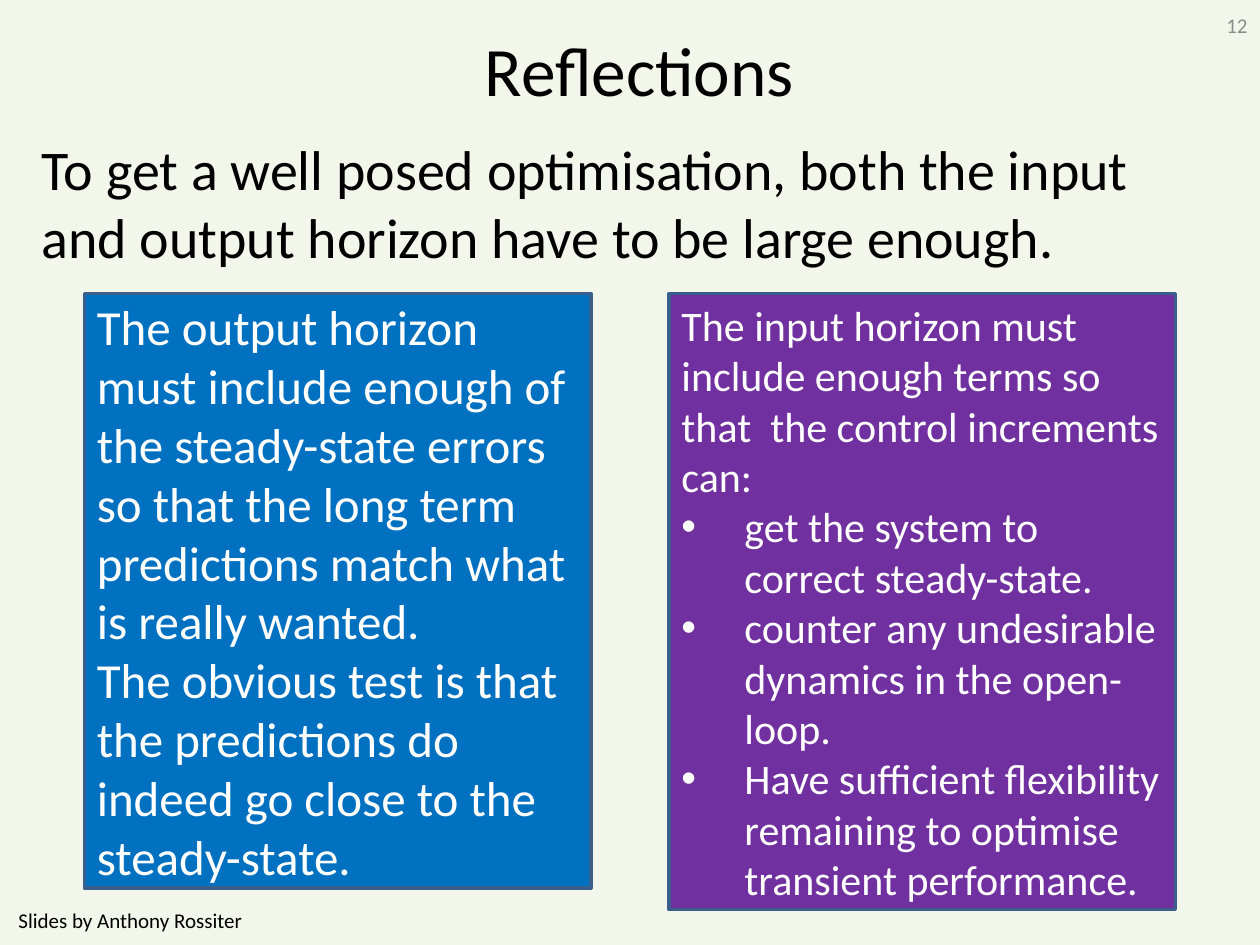
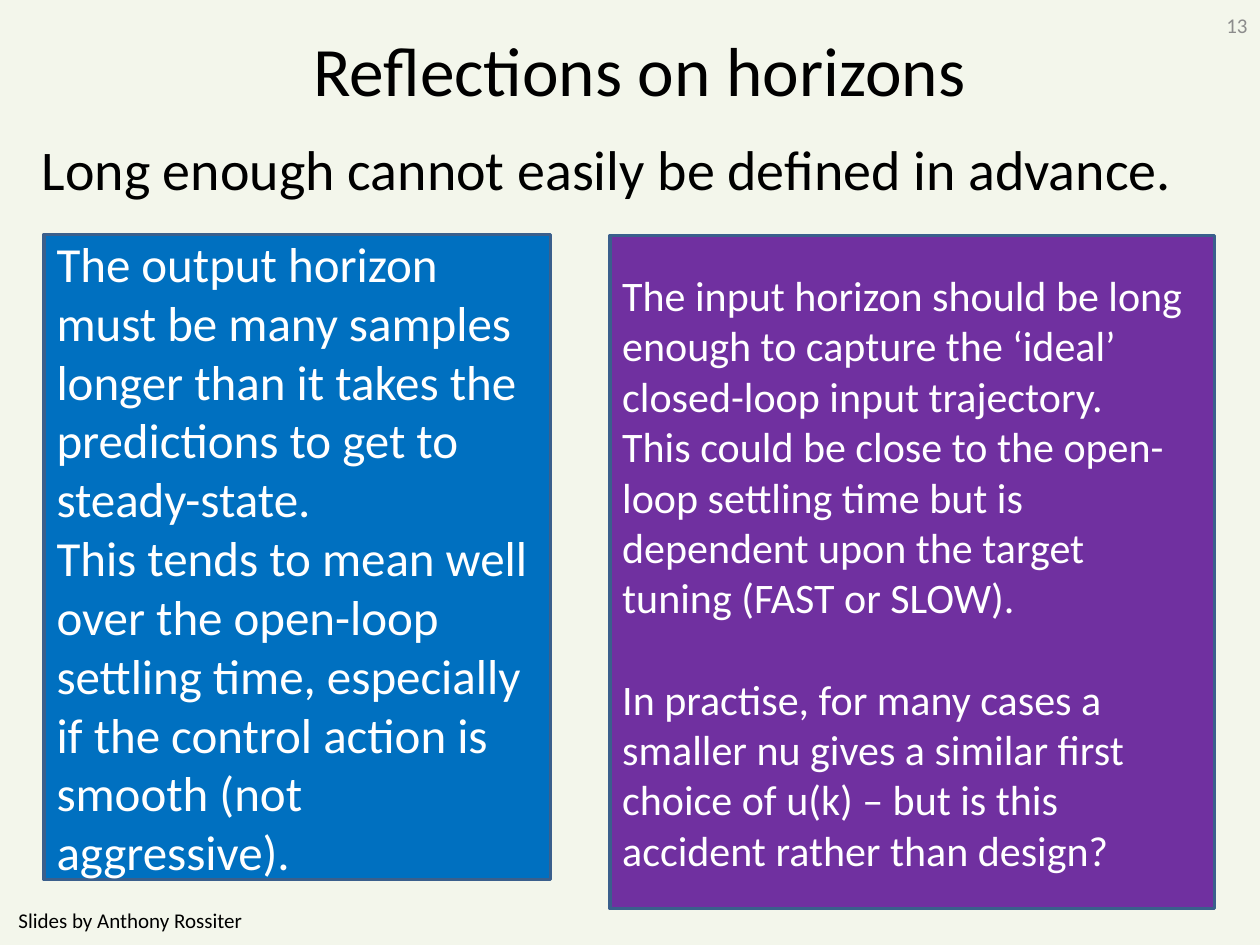
from lxml.etree import SubElement
from pptx import Presentation
from pptx.dml.color import RGBColor
from pptx.enum.shapes import MSO_SHAPE
from pptx.enum.text import MSO_ANCHOR, MSO_AUTO_SIZE, PP_ALIGN
from pptx.oxml.ns import qn
from pptx.util import Pt

EMU_PER_PX = 9144  # 100 px to the inch
FONT = "Calibri"
BACKGROUND = "F3F6EB"
BLACK, WHITE, GREY = "000000", "FFFFFF", "8C8C8C"
OUTPUT_BLUE, INPUT_PURPLE, BORDER = "0070C0", "7030A0", "3A5F8C"
BULLET_INDENT = 50


def px(length):
    return int(length * EMU_PER_PX)


def color(value):
    return RGBColor.from_string(value)


def place(shape, box):
    shape.left, shape.top, shape.width, shape.height = map(px, box)


def set_bullet(para, bullet):
    """Give the paragraph a hanging bullet, or none at all."""
    properties = para._p.get_or_add_pPr()
    indent = px(BULLET_INDENT) if bullet else 0
    properties.set("marL", str(indent))
    properties.set("indent", str(-indent))
    if bullet:
        SubElement(properties, qn("a:buFont"), typeface="Arial")
        SubElement(properties, qn("a:buChar"), char="•")
    else:
        SubElement(properties, qn("a:buNone"))


def add_text(shape, text, size=12, fill=BLACK, align=PP_ALIGN.LEFT,
             anchor=MSO_ANCHOR.MIDDLE, bullet=False, before=0):
    """Write one paragraph, after any text that the shape already holds."""
    frame = shape.text_frame
    frame.word_wrap = True
    frame.auto_size = MSO_AUTO_SIZE.NONE
    frame.vertical_anchor = anchor
    para = frame.add_paragraph() if frame.text else frame.paragraphs[0]
    set_bullet(para, bullet)
    para.alignment = align
    para.space_before = Pt(before)
    span = para.add_run()
    span.text = text
    span.font.name = FONT
    span.font.size = Pt(size)
    span.font.color.rgb = color(fill)


def add_label(page, box, text, **style):
    add_text(page.shapes.add_textbox(*map(px, box)), text, **style)


def add_panel(page, box, fill, size, paragraphs):
    """Draw a filled box; each paragraph is a text and its own format."""
    panel = page.shapes.add_shape(MSO_SHAPE.RECTANGLE, *map(px, box))
    panel.shadow.inherit = False
    panel.fill.solid()
    panel.fill.fore_color.rgb = color(fill)
    panel.line.color.rgb = color(BORDER)
    panel.line.width = Pt(2)
    for text, style in paragraphs:
        add_text(panel, text, size=size, fill=WHITE, **style)


def add_page(deck, number, title, statement, statement_height):
    page = deck.slides.add_slide(deck.slide_layouts[1])
    page.background.fill.solid()
    page.background.fill.fore_color.rgb = color(BACKGROUND)
    heading, body = page.shapes.title, page.placeholders[1]
    place(heading, (70, 16, 875, 78))
    add_text(heading, title, size=39.6, align=PP_ALIGN.CENTER)
    place(body, (23, 102, 953, statement_height))
    add_text(body, statement, size=32, anchor=MSO_ANCHOR.TOP)
    add_label(page, (0, 710, 207, 40), "Slides by Anthony Rossiter", align=PP_ALIGN.CENTER)
    add_label(page, (891, 0, 109, 40), str(number), fill=GREY, align=PP_ALIGN.RIGHT)
    return page


def add_horizon_panels(page, output_box, output_paragraphs, input_box, input_paragraphs):
    add_panel(page, output_box, OUTPUT_BLUE, 28, output_paragraphs)
    add_panel(page, input_box, INPUT_PURPLE, 24, input_paragraphs)


def add_reflections(deck):
    page = add_page(
        deck, 12, "Reflections",
        "To get a well posed optimisation, both the input and output horizon "
        "have to be large enough.", 132)
    bulleted = {"bullet": True}
    add_horizon_panels(
        page,
        (67, 233, 402, 472),
        [("The output horizon must include enough of the steady-state errors so that "
          "the long term predictions match what is really wanted.", {}),
         ("The obvious test is that the predictions do indeed go close to the "
          "steady-state.", {})],
        (531, 233, 402, 489),
        [("The input horizon must include enough terms so that  the control "
          "increments can:", {}),
         ("get the system to correct steady-state.", bulleted),
         ("counter any undesirable dynamics in the open-loop.", bulleted),
         ("Have sufficient flexibility remaining to optimise transient performance.",
          bulleted)])


def add_reflections_on_horizons(deck):
    page = add_page(deck, 13, "Reflections on horizons",
                    "Long enough cannot easily be defined in advance.", 77)
    add_horizon_panels(
        page,
        (35, 186, 402, 512),
        [("The output horizon must be many samples longer than it takes the "
          "predictions to get to steady-state.", {}),
         ("This tends to mean well over the open-loop settling time, especially if "
          "the control action is smooth (not aggressive).", {})],
        (484, 187, 480, 534),
        [("The input horizon should be long enough to capture the ‘ideal’ "
          "closed-loop input trajectory.", {}),
         ("This could be close to the open-loop settling time but is dependent upon "
          "the target tuning (FAST or SLOW).", {}),
         ("In practise, for many cases a smaller nu gives a similar first choice of "
          "u(k) – but is this accident rather than design?", {"before": 29})])


def main():
    deck = Presentation()
    deck.slide_width, deck.slide_height = px(1000), px(750)
    add_reflections(deck)
    add_reflections_on_horizons(deck)
    deck.save("out.pptx")


if __name__ == "__main__":
    main()
